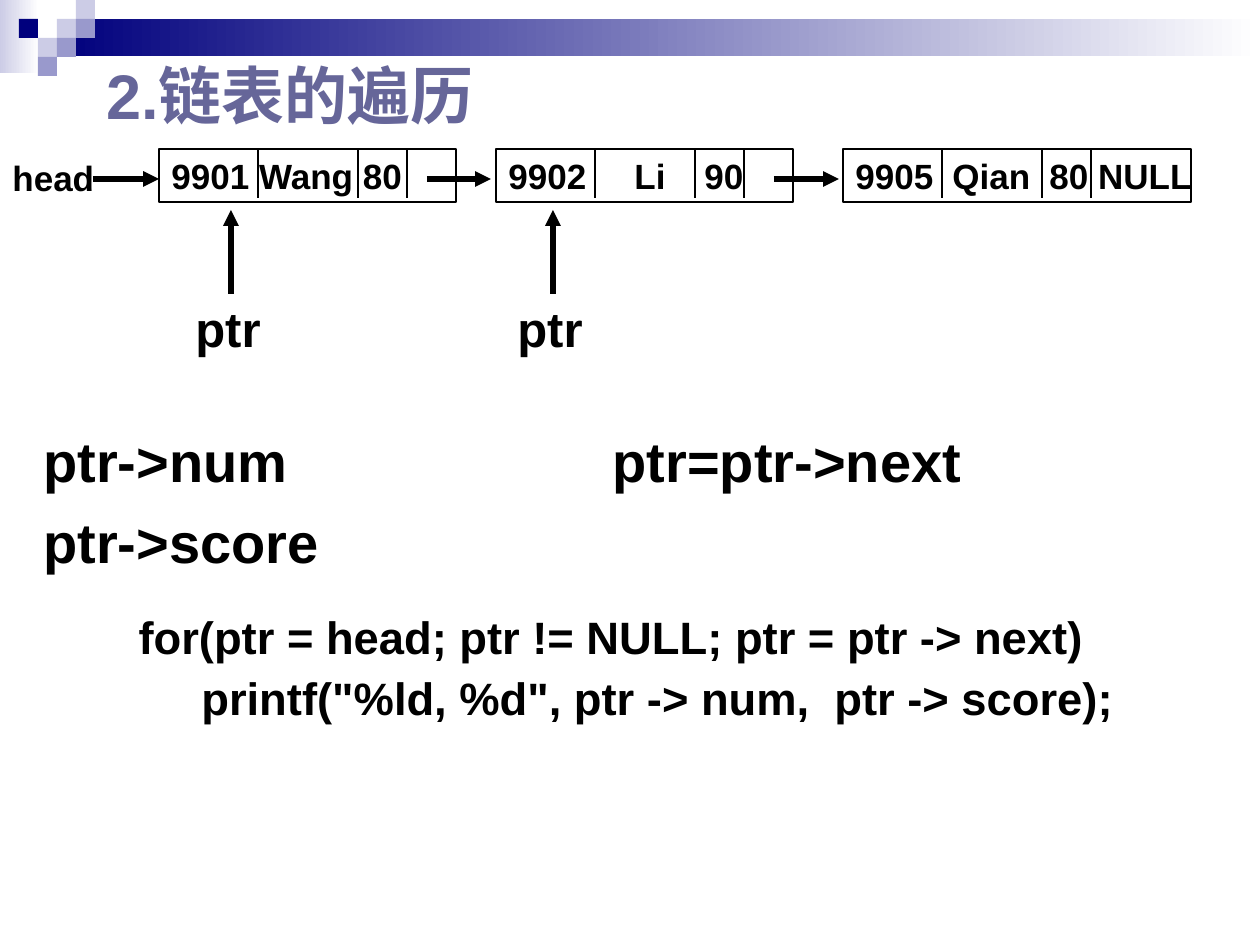
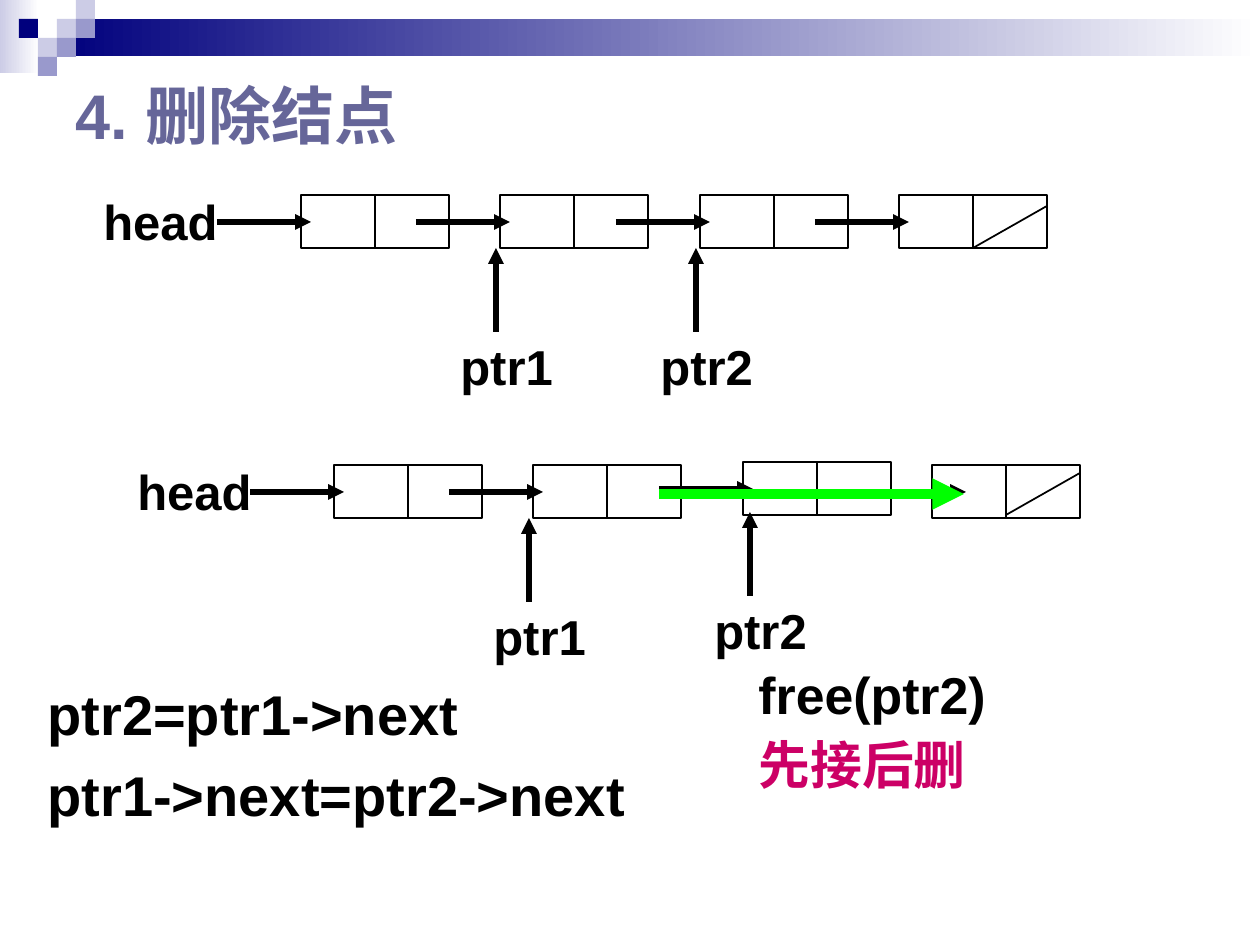
from lxml import etree
from pptx import Presentation
from pptx.dml.color import RGBColor
from pptx.enum.shapes import MSO_CONNECTOR, MSO_SHAPE
from pptx.enum.text import MSO_ANCHOR, PP_ALIGN
from pptx.oxml.ns import qn
from pptx.util import Pt

PX = 7257  # EMU in one px, 126 px to the inch
FONT = "Arial"
BLACK, SLATE, GREEN, PINK = "000000", "666699", "00FF00", "CC0066"
NAVY, LILAC, PALE, WHITE = "00007D", "9999CC", "CCCCE6", "FFFFFF"
rgb = RGBColor.from_string


def write(shape, lines, size, wrap=True, before=0, spacing=None,
          align=PP_ALIGN.LEFT, anchor=MSO_ANCHOR.TOP, tabs=()):
    """Fill a shape with bold (text, colour) lines, one paragraph each."""
    frame = shape.text_frame
    frame.word_wrap = wrap
    frame.vertical_anchor = anchor
    for index, (text, color) in enumerate(lines):
        paragraph = frame.add_paragraph() if index else frame.paragraphs[0]
        paragraph.alignment = align
        if index and before:
            paragraph.space_before = Pt(before)
        if spacing:
            paragraph.line_spacing = spacing
        if tabs:
            tab_list = etree.SubElement(paragraph._p.get_or_add_pPr(), qn("a:tabLst"))
            for stop in tabs:
                etree.SubElement(tab_list, qn("a:tab"), pos=str(stop * PX), algn="l")
        run = paragraph.add_run()
        run.text = text
        run.font.name = FONT
        run.font.size = Pt(size)
        run.font.bold = True
        run.font.color.rgb = rgb(color)
        etree.SubElement(run._r.get_or_add_rPr(), qn("a:ea"), typeface=FONT)


def draw_line(slide, x1, y1, x2, y2, width=3, color=BLACK, arrow=True):
    line = slide.shapes.add_connector(
        MSO_CONNECTOR.STRAIGHT, x1 * PX, y1 * PX, x2 * PX, y2 * PX)
    line.line.width = Pt(width)
    line.line.color.rgb = rgb(color)
    if arrow:
        etree.SubElement(line.line._get_or_add_ln(), qn("a:tailEnd"), type="triangle")
    etree.SubElement(line._element.spPr, qn("a:effectLst"))


prs = Presentation()
prs.slide_width = 1260 * PX
prs.slide_height = 945 * PX
traversal, deletion = [prs.slides.add_slide(prs.slide_layouts[6]) for _ in range(2)]

# Header band and squares on both slides: (x, y, width, height, colours)
SQUARE = 19
header = [(0, 0, 39, 73, (PALE, WHITE)), (57, 19, 1203, 37, (NAVY, WHITE))]
for column, row, color in [(3, 1, PALE), (4, 0, PALE), (4, 1, LILAC), (2, 2, PALE),
                           (1, 1, NAVY), (3, 2, LILAC), (2, 3, LILAC)]:
    header.append((column * SQUARE, row * SQUARE, SQUARE, SQUARE, (color,)))
for slide in (traversal, deletion):
    for x, y, width, height, colors in header:
        part = slide.shapes.add_shape(
            MSO_SHAPE.RECTANGLE, x * PX, y * PX, width * PX, height * PX)
        part.shadow.inherit = False
        part.line.fill.background()
        if len(colors) == 1:
            part.fill.solid()
            part.fill.fore_color.rgb = rgb(colors[0])
        else:
            part.fill.gradient()
            part.fill.gradient_angle = 0
            for stop, color in zip(part.fill.gradient_stops, colors):
                stop.color.rgb = rgb(color)

# Titles
for slide, x, y, width, height, title in [
        (traversal, 94, 26, 673, 136, "2.链表的遍历"),
        (deletion, 63, 63, 1134, 102, "4. 删除结点")]:
    heading = slide.shapes.add_textbox(x * PX, y * PX, width * PX, height * PX)
    write(heading, [(title, SLATE)], 36, anchor=MSO_ANCHOR.MIDDLE)

# Labels of the list heads
for slide, x, y, width, height, size in [(traversal, 0, 150, 107, 55, 20),
                                         (deletion, 91, 185, 139, 72, 28),
                                         (deletion, 125, 455, 139, 72, 28)]:
    head = slide.shapes.add_textbox(x * PX, y * PX, width * PX, height * PX)
    write(head, [("head", BLACK)], size, wrap=False)

# Pointers: arrow up to a node, name below it
for slide, name, x, tip in [(traversal, "ptr", 231, 210), (traversal, "ptr", 553, 210),
                            (deletion, "ptr1", 496, 248), (deletion, "ptr2", 696, 248),
                            (deletion, "ptr1", 529, 518), (deletion, "ptr2", 750, 512)]:
    draw_line(slide, x, tip + 84, x, tip)
    pointer = slide.shapes.add_textbox(
        (x - 48) * PX, (tip + 82) * PX, (92 if name == "ptr" else 120) * PX, 72 * PX)
    write(pointer, [(name, BLACK)], 28, wrap=False)

# Student records of the traversed list
NODE_HEIGHT = 53
for x, width, record, tabs in [(159, 297, "9901 Wang 80", ()),
                               (496, 297, "9902\tLi\t90", (126, 196)),
                               (843, 348, "9905\tQian\t80 NULL", (97, 194))]:
    node = traversal.shapes.add_shape(
        MSO_SHAPE.RECTANGLE, x * PX, 149 * PX, width * PX, NODE_HEIGHT * PX)
    node.shadow.inherit = False
    node.fill.background()
    node.line.color.rgb = rgb(BLACK)
    node.line.width = Pt(0.75)
    write(node, [(record, BLACK)], 20, wrap=False, anchor=MSO_ANCHOR.MIDDLE, tabs=tabs)
    for offset in (99, 199, 248):
        draw_line(traversal, x + offset, 149, x + offset, 198, width=0.75, arrow=False)
for start, end in [(93, 159), (427, 491), (774, 839)]:
    draw_line(traversal, start, 179, end, 179)

# Lists before and after the deletion: nodes as (x, y, arrow tip inside node)
CELL, LINK = 74, 94
before_deletion = [(301, 195, 10), (500, 195, 10), (700, 195, 10), (899, 195, 10)]
after_deletion = [(334, 465, 10), (533, 465, 10), (743, 462, 10), (932, 465, 34)]
for nodes, slash_bottom in [(before_deletion, 248), (after_deletion, 515)]:
    for x, y, tip in nodes:
        for cell_x in (x, x + CELL):
            cell = deletion.shapes.add_shape(
                MSO_SHAPE.RECTANGLE, cell_x * PX, y * PX, CELL * PX, NODE_HEIGHT * PX)
            cell.shadow.inherit = False
            cell.fill.background()
            cell.line.color.rgb = rgb(BLACK)
            cell.line.width = Pt(0.75)
        draw_line(deletion, x + tip - LINK, y + 27, x + tip, y + 27)
    last_x = nodes[-1][0]
    draw_line(deletion, last_x + CELL, slash_bottom,
              last_x + 2 * CELL, slash_bottom - 42, width=1, arrow=False)

# New link that skips the deleted node
draw_line(deletion, 659, 494, 964, 494, width=6, color=GREEN)

# Statements: slide, area, lines, size, space before, line spacing, alignment, indent
LEFT, CENTER = PP_ALIGN.LEFT, PP_ALIGN.CENTER
for slide, (x, y, width, height), lines, size, before, spacing, align, indent in [
        (traversal, (31, 420, 315, 168),
         [("ptr->num", BLACK), ("ptr->score", BLACK)], 32, 8, None, LEFT, 0),
        (traversal, (493, 420, 588, 168),
         [("ptr=ptr->next", BLACK)], 32, 8, None, CENTER, 0),
        (traversal, (63, 609, 1134, 168),
         [("for(ptr = head; ptr != NULL; ptr = ptr -> next)", BLACK),
          ('     printf("%ld, %d", ptr -> num,  ptr -> score);', BLACK)],
         25.9, 7, 0.9, LEFT, 63),
        (deletion, (35, 673, 677, 168),
         [("ptr2=ptr1->next", BLACK), ("ptr1->next=ptr2->next", BLACK)],
         32, 8, None, LEFT, 0),
        (deletion, (746, 664, 514, 158),
         [("free(ptr2)", BLACK), ("先接后删", PINK)], 29.6, 8, 0.9, LEFT, 0)]:
    statements = slide.shapes.add_textbox(x * PX, y * PX, width * PX, height * PX)
    write(statements, lines, size, before=before, spacing=spacing, align=align)
    statements.text_frame.margin_left += indent * PX

prs.save("out.pptx")
